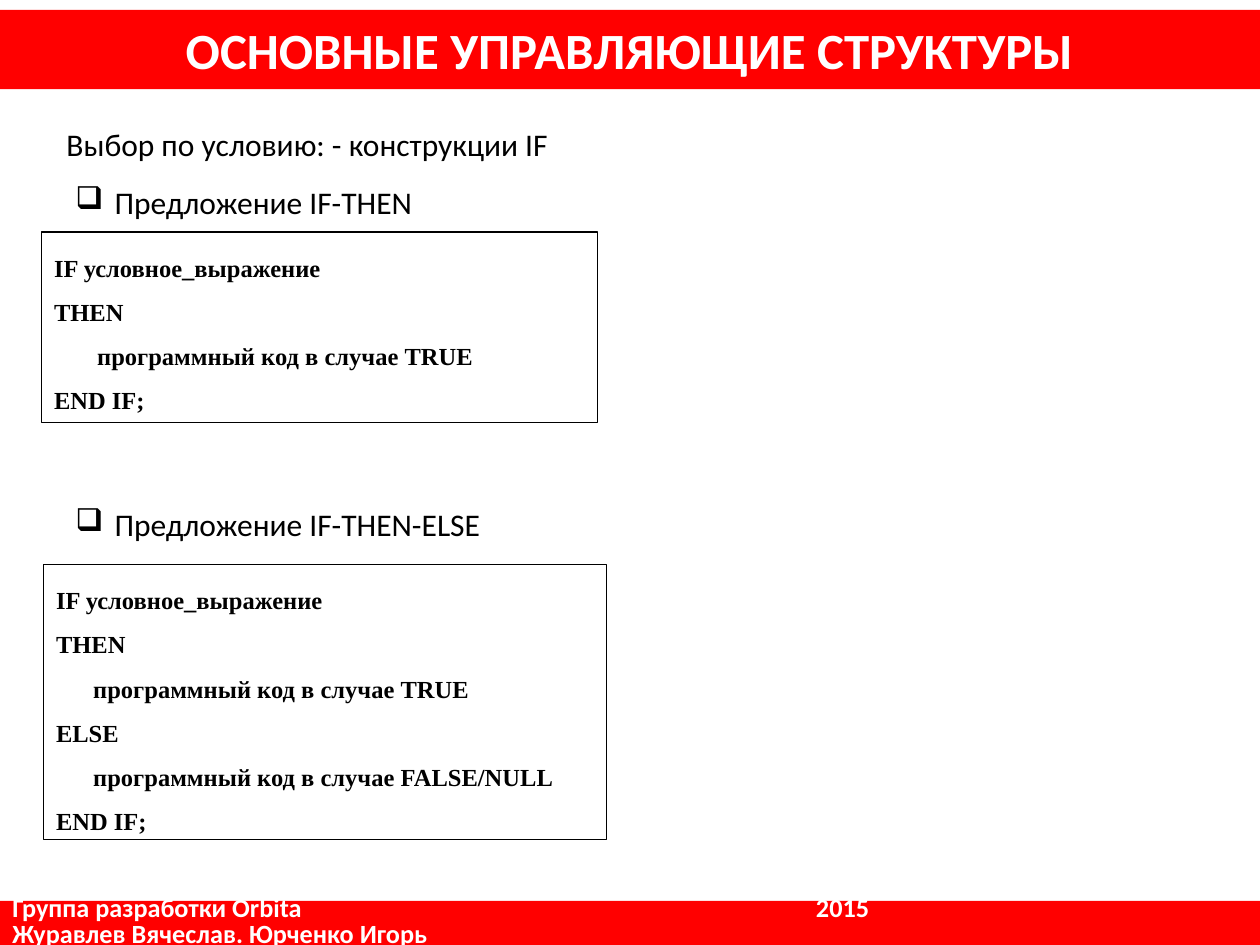
import pptx
import pptx.dml.color
import pptx.enum.shapes
import pptx.enum.text
import pptx.oxml
import pptx.oxml.ns
import pptx.util
import lxml.etree

Cm = pptx.util.Cm
ALIGN = pptx.enum.text.PP_ALIGN
ANCHOR = pptx.enum.text.MSO_ANCHOR
RED, WHITE, BLACK = "FF0000", "FFFFFF", "000000"


def color(hex_value):
    """Turn a hex string into a colour."""
    return pptx.dml.color.RGBColor.from_string(hex_value)


def set_fill(shape, hex_value):
    """Fill a shape with one plain colour."""
    shape.fill.solid()
    shape.fill.fore_color.rgb = color(hex_value)


def set_font(paragraph, size, hex_value, name="Calibri", bold=False):
    """Format all the text of a paragraph."""
    font = paragraph.font
    font.name, font.size, font.bold = name, pptx.util.Pt(size), bold
    font.color.rgb = color(hex_value)


def add_property(parent, tag, **attributes):
    """Append a drawing element and return it."""
    element = lxml.etree.SubElement(parent, pptx.oxml.ns.qn(tag))
    for key, value in attributes.items():
        element.set(key, str(value))
    return element


def add_box(slide, box, fill):
    """Add a plain rectangle without outline or shadow."""
    shape = slide.shapes.add_shape(
        pptx.enum.shapes.MSO_SHAPE.RECTANGLE, *map(Cm, box))
    shape.shadow.inherit = False
    set_fill(shape, fill)
    shape.line.fill.background()
    return shape


def place_title(slide, box, text):
    """Turn the title placeholder into the red heading band."""
    title = slide.shapes.title
    title.left, title.top, title.width, title.height = map(Cm, box)
    set_fill(title, RED)
    frame = title.text_frame
    frame.text = text
    frame.auto_size = pptx.enum.text.MSO_AUTO_SIZE.NONE
    frame.vertical_anchor = ANCHOR.MIDDLE
    heading = frame.paragraphs[0]
    heading.alignment = ALIGN.CENTER
    set_font(heading, 29, WHITE, bold=True)


def add_label(slide, box, text, bulleted=False):
    """Add a line of body text, with a box bullet if asked."""
    frame = slide.shapes.add_textbox(*map(Cm, box)).text_frame
    frame.word_wrap = True
    frame.text = text
    label = frame.paragraphs[0]
    if bulleted:
        properties = label._p.get_or_add_pPr()
        properties.set("marL", str(Cm(0.79)))
        properties.set("indent", str(-Cm(0.79)))
        bullet_color = add_property(properties, "a:buClr")
        add_property(bullet_color, "a:srgbClr", val=BLACK)
        add_property(properties, "a:buChar", char="❑")
    set_font(label, 18, BLACK)


def add_code(slide, box, lines, indent):
    """Add a framed listing of (level, text) lines."""
    listing = add_box(slide, box, WHITE)
    listing.line.color.rgb = color(BLACK)
    listing.line.width = pptx.util.Pt(0.75)
    frame = listing.text_frame
    frame.vertical_anchor = ANCHOR.TOP
    frame.text = "\n".join(text for level, text in lines)
    for statement, (level, text) in zip(frame.paragraphs, lines):
        statement._p.get_or_add_pPr().set("marL", str(Cm(indent * level)))
        statement.alignment = ALIGN.JUSTIFY
        statement.line_spacing = 1.5
        set_font(statement, 14, BLACK, "Times New Roman", True)


def add_footer(slide, box, group, year, authors):
    """Add the red footer band with group, year and authors."""
    frame = add_box(slide, box, RED).text_frame
    frame.vertical_anchor = ANCHOR.MIDDLE
    frame.text = f"{group}\t{year}\v{authors}"
    credits = frame.paragraphs[0]
    tabs = add_property(credits._p.get_or_add_pPr(), "a:tabLst")
    add_property(tabs, "a:tab", pos=Cm(16.2), algn="l")
    credits.alignment = ALIGN.LEFT
    credits.line_spacing = 0.8
    set_font(credits, 15, WHITE, bold=True)


def main():
    """Build the slide and save it."""
    deck = pptx.Presentation()
    deck.slide_width, deck.slide_height = Cm(25.4), Cm(19.05)
    slide = deck.slides.add_slide(deck.slide_layouts[5])

    opening = [(0, "IF условное_выражение"), (0, "THEN"),
               (1, "программный код в случае TRUE")]
    alternative = [(0, "ELSE"), (1, "программный код в случае FALSE/NULL")]
    closing = [(0, "END IF;")]

    place_title(slide, (0, 0.2, 25.4, 1.6), "ОСНОВНЫЕ УПРАВЛЯЮЩИЕ СТРУКТУРЫ")
    add_label(slide, (1.09, 2.39, 16.5, 1.02),
              "Выбор по условию: - конструкции IF")
    add_label(slide, (1.27, 3.56, 7.4, 1.02), "Предложение IF-THEN", True)
    add_code(slide, (0.84, 4.68, 11.2, 3.84), opening + closing, 0.87)
    add_label(slide, (1.27, 10.06, 8.76, 1.02),
              "Предложение IF-THEN-ELSE", True)
    add_code(slide, (0.88, 11.38, 11.35, 5.54),
             opening + alternative + closing, 0.75)
    add_footer(slide, (0, 18.16, 25.4, 0.89), "Группа разработки Orbita",
               "2015", "Журавлев Вячеслав. Юрченко Игорь")
    deck.save("out.pptx")


if __name__ == "__main__":
    main()
